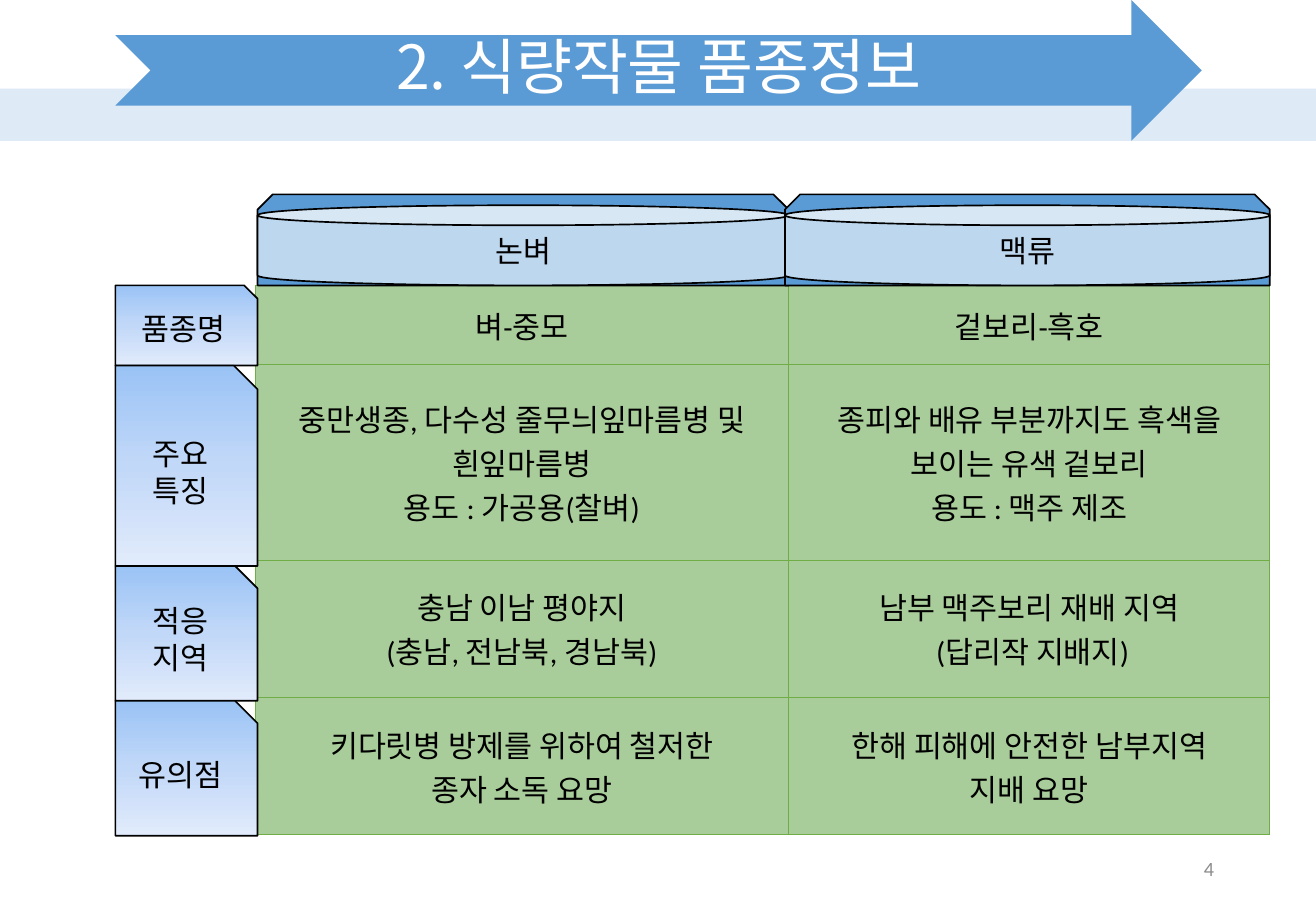
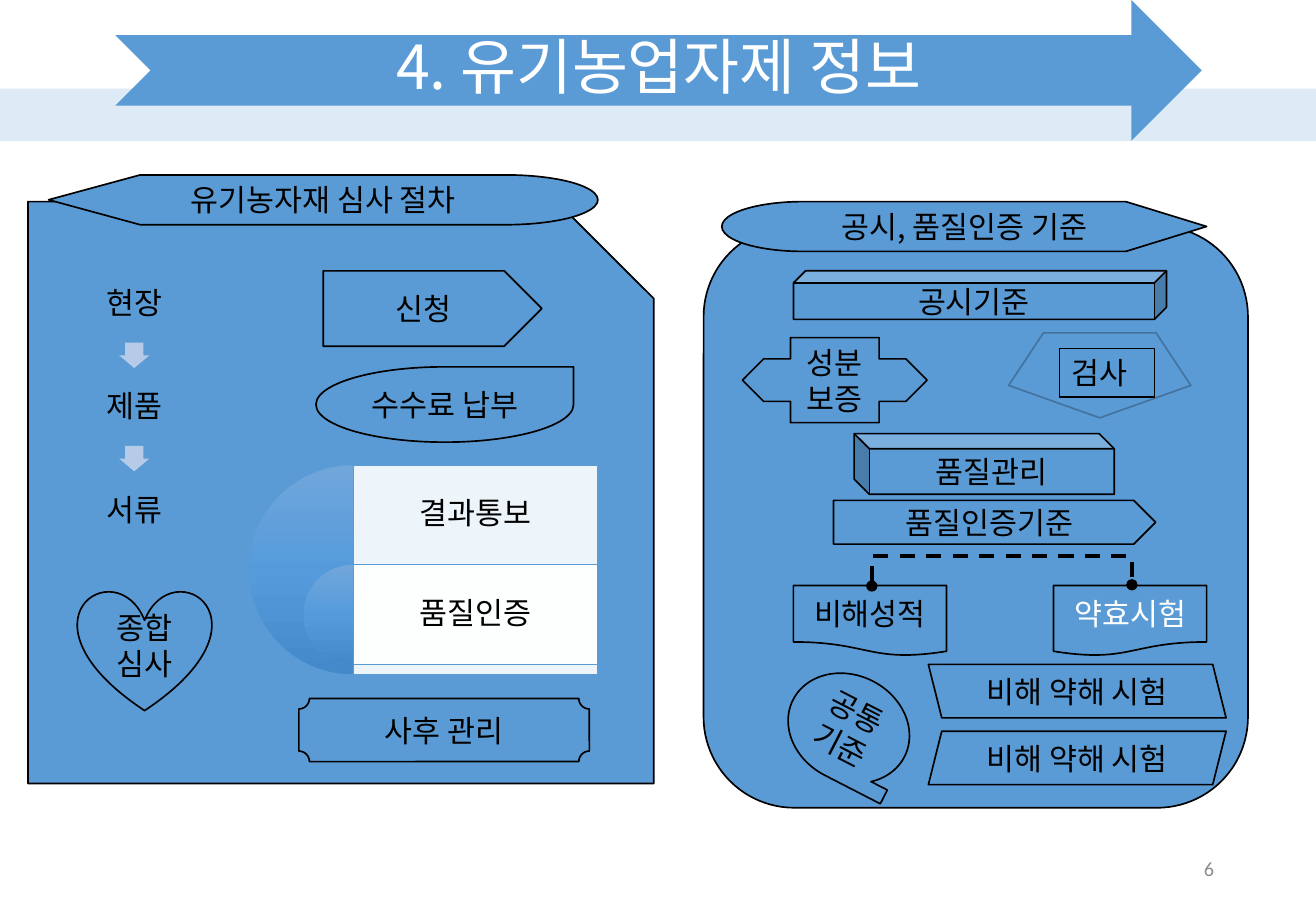
from copy import deepcopy

from lxml.etree import SubElement
from pptx import Presentation
from pptx.dml.color import RGBColor
from pptx.enum.dml import MSO_LINE
from pptx.enum.shapes import MSO_CONNECTOR, MSO_SHAPE as Kind
from pptx.enum.text import MSO_ANCHOR as Anchor, PP_ALIGN as Align
from pptx.oxml.ns import qn
from pptx.util import Emu, Pt

PX = 9144  # 100 px to the inch
BLUE, PALE_BAND, CAN_BLUE, ARROW_BLUE = "5B9BD5", "DEEBF7", "BDD7EE", "B5CBE7"
BLACK, WHITE, GREY, PENTAGON_LINE = "000000", "FFFFFF", "8C8C8C", "43739E"
CELL_GREEN, GRID_GREEN = "A9CD9A", "70AD47"
LABEL_GRADIENT = ["9AC3F5", "C2D8F8", "E1EBFB"]
PIE_GRADIENT = ["71A6DB", "559BDB", "448ACA"]
KOREAN, LATIN = "Noto Sans CJK KR", "Calibri"


def px(value):
    return Emu(value * PX)


def color(hex_string):
    return RGBColor.from_string(hex_string)


def write(text_frame, text, size=18, ink=BLACK, font=KOREAN, align=Align.CENTER,
          anchor=Anchor.MIDDLE, spacing=None):
    text_frame.text = text
    text_frame.word_wrap = True
    text_frame.vertical_anchor = anchor
    for paragraph in text_frame.paragraphs:
        paragraph.alignment = align
        paragraph.line_spacing = spacing
        for run in paragraph.runs:
            run.font.size = Pt(size)
            run.font.name = font
            run.font.color.rgb = color(ink)
            SubElement(run.font._element, qn("a:ea"), typeface=KOREAN)


def fill_gradient(shape, hex_strings):
    """Vertical gradient with evenly spaced stops."""
    shape.fill.gradient()
    shape.fill.gradient_angle = 270
    stop_list = shape.element.spPr.find(".//" + qn("a:gsLst"))
    while len(stop_list) < len(hex_strings):
        stop_list.append(deepcopy(stop_list[0]))
    for index, stop in enumerate(shape.fill.gradient_stops):
        stop.color.rgb = color(hex_strings[index])
        stop.position = index / (len(hex_strings) - 1)


class Region:
    """Places parts in a shape collection, measured from the corner of a box."""

    def __init__(self, shapes, left, top):
        self.shapes, self.left, self.top = shapes, left, top

    def place(self, x, y, width, height):
        return px(self.left + x), px(self.top + y), px(width), px(height)

    def shape(self, kind, box, text="", fill=BLUE, line=BLACK, line_width=1,
              adjust=(), rotation=0, flip=False, alpha=None, **style):
        shape = self.shapes.add_shape(kind, *self.place(*box))
        shape.shadow.inherit = False
        shape.rotation = rotation
        for index, value in enumerate(adjust):
            shape.adjustments[index] = value
        if flip:
            shape.element.spPr.xfrm.set("flipH", "1")
        if isinstance(fill, list):
            fill_gradient(shape, fill)
        elif fill:
            shape.fill.solid()
            shape.fill.fore_color.rgb = color(fill)
        else:
            shape.fill.background()
        if alpha:
            paint = shape.element.spPr.find(qn("a:solidFill"))[0]
            SubElement(paint, qn("a:alpha"), val=str(alpha * 1000))
        if line:
            shape.line.color.rgb = color(line)
            shape.line.width = Pt(line_width)
        else:
            shape.line.fill.background()
        if text:
            write(shape.text_frame, text, **style)
        return shape

    def text(self, box, text, **style):
        text_box = self.shapes.add_textbox(*self.place(*box))
        write(text_box.text_frame, text, **style)


def add_base_slide(presentation, title, number):
    slide = presentation.slides.add_slide(presentation.slide_layouts[6])
    page = Region(slide.shapes, 0, 0)
    page.shape(Kind.RECTANGLE, (0, 73, 1083, 43), fill=PALE_BAND, line=None)
    page.shape(Kind.NOTCHED_RIGHT_ARROW, (95, 0, 894, 116), line=None)
    page.text((95, 27, 894, 61), title, size=36, ink=WHITE, spacing=0.9)
    page.text((765, 695, 244, 40), number, size=12, ink=GREY, font=LATIN, align=Align.RIGHT)
    return slide


# Variety table

def set_cell_border(cell):
    properties = cell._tc.get_or_add_tcPr()
    for index, side in enumerate(("lnL", "lnR", "lnT", "lnB")):
        line = properties.makeelement(qn("a:" + side), {"w": str(Pt(0.5))})
        SubElement(SubElement(line, qn("a:solidFill")), qn("a:srgbClr"), val=GRID_GREEN)
        properties.insert(index, line)


def add_variety_table(slide, left, top, rows):
    region = Region(slide.shapes, left, top)
    widths, heights = (439, 396), (65, 161, 113, 113)
    frame = slide.shapes.add_table(
        len(rows), len(widths), *region.place(0, 0, sum(widths), sum(heights)))
    table = frame.table
    table.first_row = table.horz_banding = False
    for column, width in zip(table.columns, widths):
        column.width = px(width)
    for row, height, texts in zip(table.rows, heights, rows):
        row.height = px(height)
        for cell, text in zip(row.cells, texts):
            write(cell.text_frame, text, font=LATIN)
            cell.vertical_anchor = Anchor.MIDDLE
            cell.fill.solid()
            cell.fill.fore_color.rgb = color(CELL_GREEN)
            set_cell_border(cell)


def add_row_labels(slide, left, top, labels):
    region = Region(slide.shapes, left, top)
    y = 0
    for label, height in labels:
        region.shape(Kind.SNIP_1_RECTANGLE, (0, y, 117, height), label, fill=LABEL_GRADIENT)
        y += height


def add_column_header(slide, left, top, width, label):
    region = Region(slide.shapes, left, top)
    region.shape(Kind.SNIP_2_SAME_RECTANGLE, (0, 0, width, 75))
    region.shape(Kind.CAN, (0, 9, width, 66), label, fill=CAN_BLUE)


def build_variety_slide(presentation):
    slide = add_base_slide(presentation, "2. 식량작물 품종정보", "4")
    add_variety_table(slide, 210, 235, [
        ("벼-중모", "겉보리-흑호"),
        ("중만생종, 다수성 줄무늬잎마름병 및 흰잎마름병\n용도 : 가공용(찰벼)",
         "종피와 배유 부분까지도 흑색을 보이는 유색 겉보리\n용도 : 맥주 제조"),
        ("충남 이남 평야지\n(충남, 전남북, 경남북)",
         "남부 맥주보리 재배 지역\n (답리작 지배지)"),
        ("키다릿병 방제를 위하여 철저한\n종자 소독 요망",
         "한해 피해에 안전한 남부지역\n지배 요망"),
    ])
    add_row_labels(slide, 95, 235, [
        ("품종명", 66), ("주요\n특징", 165), ("적응\n지역", 111), ("유의점", 111)])
    add_column_header(slide, 212, 160, 437, "논벼")
    add_column_header(slide, 646, 160, 399, "맥류")


# Review procedure and certification criteria

def add_review_steps(region, x, y, steps):
    pitch = 85
    for index, step in enumerate(steps):
        step_y = y + index * pitch
        region.shape(Kind.ROUNDED_RECTANGLE, (x, step_y, 102, 56), step,
                     line=None, adjust=[0.1], spacing=0.9)
        if index:
            region.shape(Kind.DOWN_ARROW, (x + 38, step_y - 26, 25, 21),
                         fill=ARROW_BLUE, line=None, adjust=[0.6, 0.5])


def add_result_pie(region, x, y, results):
    """Half discs, each beside a panel whose label fills one row."""
    row_height = 82
    for index, (result, diameter) in enumerate(results):
        row_y = y + index * row_height
        region.shape(Kind.PIE, (x - diameter // 2, row_y, diameter, diameter),
                     fill=PIE_GRADIENT, line=None, adjust=[54, 162])
        region.shape(Kind.RECTANGLE, (x, row_y, 201, diameter),
                     fill=WHITE, line=BLUE, line_width=0.5, alpha=90)
        region.text((x, row_y, 201, row_height), result, spacing=0.9)


def add_procedure_panel(slide, left, top):
    region = Region(slide.shapes.add_group_shape().shapes, left, top)
    region.shape(Kind.SNIP_1_RECTANGLE, (0, 22, 515, 479))
    region.shape(Kind.FLOWCHART_DISPLAY, (17, 0, 452, 41), "유기농자재 심사 절차")
    add_review_steps(region, 37, 79, ["현장", "제품", "서류"])
    region.shape(Kind.PENTAGON, (243, 79, 180, 62), "신청")
    region.shape(Kind.TEAR, (237, 158, 212, 62), "수수료 납부")
    region.shape(Kind.HEART, (41, 342, 110, 99), "종합심사")
    add_result_pie(region, 268, 239, [("결과통보", 172), ("품질인증", 82)])
    region.shape(Kind.PLAQUE, (223, 431, 239, 52), "사후 관리")


def add_test_link(region, x, y, width, rise):
    """Dashed bracket joining two tests: an elbow turned a quarter."""
    middle = x + width // 2
    start_x, start_y, end_x, end_y = region.place(
        middle + 1, y + width // 2, middle, y - width // 2)
    link = region.shapes.add_connector(MSO_CONNECTOR.ELBOW, start_x, start_y,
                                       px(region.left + middle), px(region.top + y - width // 2))
    properties = link.element.spPr
    properties.xfrm.set("rot", str(90 * 60000))
    guides = properties.find(qn("a:prstGeom")).get_or_add_avLst()
    SubElement(guides, qn("a:gd"), name="adj1", fmla=f"val {rise * 100000}")
    link.line.color.rgb = color(BLACK)
    link.line.width = Pt(2.25)
    link.line.dash_style = MSO_LINE.DASH
    for end in ("a:headEnd", "a:tailEnd"):
        SubElement(link.line._get_or_add_ln(), qn(end), type="oval")
    SubElement(properties, qn("a:effectLst"))


def add_criteria_panel(slide, left, top):
    region = Region(slide.shapes.add_group_shape().shapes, left, top)
    region.shape(Kind.ROUNDED_RECTANGLE, (0, 20, 448, 479))
    region.shape(Kind.FLOWCHART_DISPLAY, (15, 0, 399, 41), "공시, 품질인증 기준", flip=True)
    # Notice criteria
    region.shape(Kind.CUBE, (74, 57, 307, 40), "공시기준")
    region.shape(Kind.LEFT_RIGHT_ARROW_CALLOUT, (32, 112, 152, 70), "성분보증",
                 adjust=[0.5, 0.25, 0.25, 0.48])
    region.shape(Kind.REGULAR_PENTAGON, (251, 108, 150, 70), line=PENTAGON_LINE, rotation=180)
    region.shape(Kind.RECTANGLE, (293, 121, 78, 40), "검사", fill=None, line_width=0.75,
                 align=Align.LEFT, anchor=Anchor.TOP)
    # Quality certification
    region.shape(Kind.CUBE, (124, 191, 214, 50), "품질관리", flip=True)
    region.shape(Kind.PENTAGON, (107, 246, 265, 36), "품질인증기준")
    region.shape(Kind.FLOWCHART_DOCUMENT, (288, 316, 126, 58), "약효시험", ink=WHITE)
    region.shape(Kind.FLOWCHART_DOCUMENT, (74, 316, 126, 58), "비해성적", flip=True)
    add_test_link(region, 138, 316, 214, 25)
    # Common criteria
    region.shape(Kind.FLOWCHART_SEQUENTIAL_ACCESS_STORAGE, (68, 390, 103, 87), "공통기준",
                 rotation=27.2)
    for y, flip in ((436, False), (381, True)):
        region.shape(Kind.PARALLELOGRAM, (185, y, 245, 44), "비해 약해 시험", flip=flip)


def build_materials_slide(presentation):
    slide = add_base_slide(presentation, "4. 유기농업자제 정보", "6")
    add_procedure_panel(slide, 23, 144)
    add_criteria_panel(slide, 579, 166)


def main():
    presentation = Presentation()
    presentation.slide_width, presentation.slide_height = px(1083), px(750)
    build_variety_slide(presentation)
    build_materials_slide(presentation)
    presentation.save("out.pptx")


if __name__ == "__main__":
    main()
